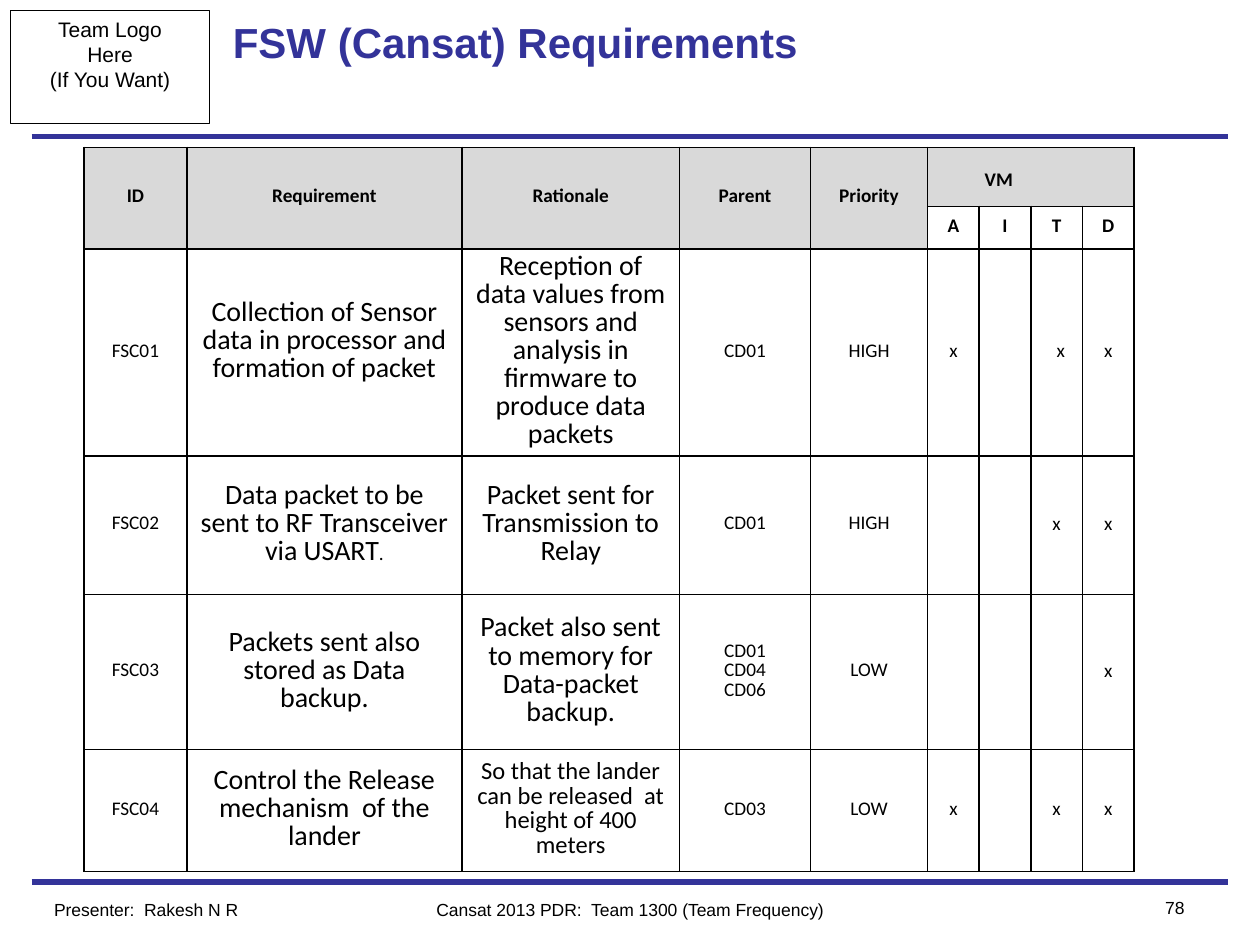
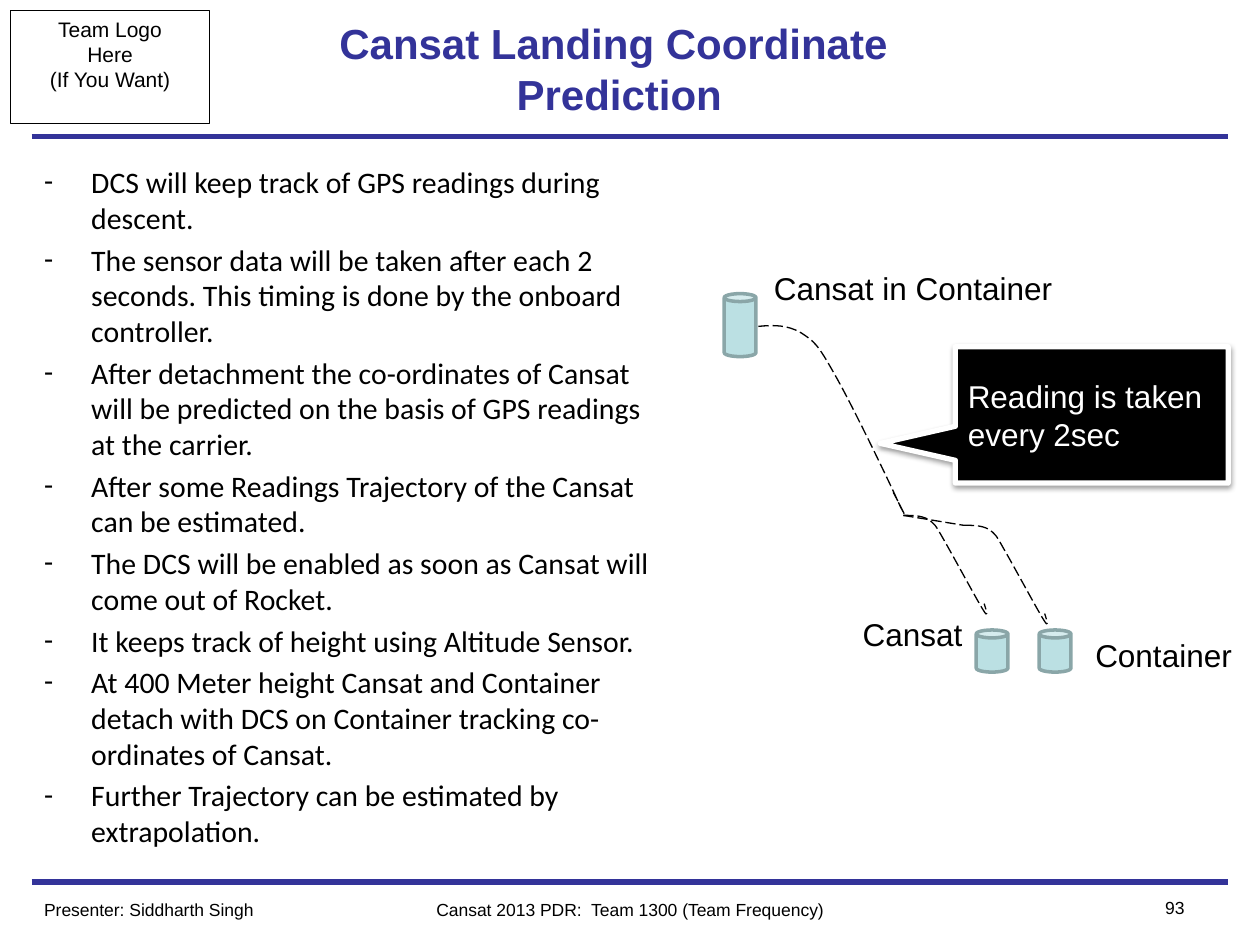
import pptx
import pptx.dml.color
import pptx.enum.dml
import pptx.enum.shapes
import pptx.enum.text
import pptx.oxml
import pptx.oxml.ns
import pptx.util

NAVY = pptx.dml.color.RGBColor(0x33, 0x33, 0x99)
BLACK = pptx.dml.color.RGBColor(0, 0, 0)
WHITE = pptx.dml.color.RGBColor(0xFF, 0xFF, 0xFF)
HEADER_GREY = pptx.dml.color.RGBColor(0xD9, 0xD9, 0xD9)
CAN_FILL = pptx.dml.color.RGBColor(0xBB, 0xE0, 0xE3)
CAN_EDGE = pptx.dml.color.RGBColor(0x8A, 0xA6, 0xA8)
HEADING_FONT = "Arial"
BODY_FONT = "Calibri"

ALIGN = pptx.enum.text.PP_ALIGN
ANCHOR = pptx.enum.text.MSO_ANCHOR
SHAPE = pptx.enum.shapes.MSO_SHAPE

COLUMN_WIDTHS = [2.08, 5.54, 4.39, 2.64, 2.36] + [1.04] * 4
ROW_HEIGHTS = [1.19, 0.86, 4.17, 2.79, 3.13, 2.46]
HEADINGS = ["ID", "Requirement", "Rationale", "Parent", "Priority"]
METHODS = "AITD"
REQUIREMENTS = [
    ("FSC01", "Collection of Sensor data in processor and formation of packet",
     "Reception of data values from sensors and analysis in firmware to produce data packets",
     "CD01", "HIGH", "ATD"),
    ("FSC02", "Data packet to be sent to RF Transceiver via USART",
     "Packet sent for Transmission to Relay", "CD01", "HIGH", "TD"),
    ("FSC03", "Packets sent also stored as Data backup.",
     "Packet also sent to memory for Data-packet backup.",
     "CD01\nCD04\nCD06", "LOW", "D"),
    ("FSC04", "Control the Release mechanism  of the lander",
     "So that the lander can be released  at height of 400 meters",
     "CD03", "LOW", "ATD"),
]
PREDICTION_STEPS = [
    "DCS will keep track of GPS readings during descent.",
    "The sensor data will be taken after each 2 seconds. This timing is done by the onboard controller.",
    "After detachment the co-ordinates of Cansat will be predicted on the basis of GPS readings at the carrier.",
    "After some Readings Trajectory of the Cansat can be estimated.",
    "The DCS will be enabled as soon as Cansat will come out of Rocket.",
    "It keeps track of height using Altitude Sensor.",
    "At 400 Meter height Cansat and Container detach with DCS on Container tracking co-ordinates of Cansat.",
    "Further Trajectory can be estimated by extrapolation.",
]
DESCENT_START = (15.29, 6.58)
DESCENT = [(0.31, -0.03), (0.59, -0.03), (0.86, 0.13),
           (1.12, 0.3), (1.19, 0.35), (1.52, 0.94),
           (1.86, 1.52), (2.67, 3.2), (2.85, 3.61),
           (3.05, 4.01), (2.9, 3.68), (2.72, 3.35)]
CANSAT_START = (18.21, 10.39)
CONTAINER_START = (19.43, 10.59)
BRANCH = [(0.18, 0), (0.36, 0), (0.5, 0.08),
          (0.64, 0.18), (0.64, 0.18), (0.81, 0.48),
          (0.99, 0.79), (1.47, 1.68), (1.6, 1.89),
          (1.73, 2.11), (1.68, 1.93), (1.63, 1.78)]


def cm(*lengths):
    return [pptx.util.Cm(length) for length in lengths]


def append_xml(parent, tag, content="", attributes=""):
    namespace = pptx.oxml.ns.nsdecls("a")
    child = pptx.oxml.parse_xml(f"<a:{tag} {namespace} {attributes}>{content}</a:{tag}>")
    parent.append(child)
    return child


def format_text(frame, size, color=BLACK, align=ALIGN.LEFT, font=HEADING_FONT,
                bold=False, spacing=None):
    for paragraph in frame.paragraphs:
        paragraph.alignment = align
        paragraph.line_spacing = spacing
        for run in paragraph.runs:
            run.font.size = pptx.util.Pt(size)
            run.font.name = font
            run.font.bold = bold
            run.font.color.rgb = color


def add_label(slide, box, text, size, align=ALIGN.LEFT, wrap=True):
    frame = slide.shapes.add_textbox(*cm(*box)).text_frame
    frame.word_wrap = wrap
    frame.text = text
    format_text(frame, size, align=align)


def add_line(slide, start, end, color, width):
    line = slide.shapes.add_connector(
        pptx.enum.shapes.MSO_CONNECTOR.STRAIGHT, *cm(*start, *end))
    line.line.color.rgb = color
    line.line.width = pptx.util.Pt(width)
    append_xml(line._element.spPr, "effectLst")
    return line


def add_box(slide, preset, box, edge, width, fill=None):
    shape = slide.shapes.add_shape(preset, *cm(*box))
    shape.shadow.inherit = False
    shape.line.color.rgb = edge
    shape.line.width = pptx.util.Pt(width)
    if fill is None:
        shape.fill.background()
    else:
        shape.fill.solid()
        shape.fill.fore_color.rgb = fill
    return shape


def add_framed_slide(deck, title, title_at, align, presenter, presenter_left, number):
    slide = deck.slides.add_slide(deck.slide_layouts[5])
    for band_y in (17.78, 2.75):
        add_line(slide, (0.64, band_y), (24.76, band_y), NAVY, 3)

    team_logo = add_box(slide, SHAPE.RECTANGLE, (0.21, 0.21, 4.02, 2.29), BLACK, 0.5)
    team_logo.text_frame.word_wrap = False
    team_logo.text_frame.vertical_anchor = ANCHOR.TOP
    team_logo.text_frame.text = "Team Logo\nHere\n(If You Want)"
    format_text(team_logo.text_frame, 12, align=ALIGN.CENTER)

    heading = slide.shapes.title
    heading.left, heading.top, heading.width, heading.height = cm(*title_at, 16.51, 2.34)
    heading.text_frame.auto_size = pptx.enum.text.MSO_AUTO_SIZE.NONE
    heading.text_frame.vertical_anchor = ANCHOR.TOP
    heading.text_frame.text = title
    format_text(heading.text_frame, 24, NAVY, align, bold=True)

    add_label(slide, (7.62, 17.99, 10.16, 0.69),
              "Cansat 2013 PDR:  Team 1300 (Team Frequency)", 10, ALIGN.CENTER)
    add_label(slide, (22.23, 17.96, 1.9, 0.69), number, 10, ALIGN.RIGHT)
    add_label(slide, (presenter_left, 17.99, 6.35, 0.69), presenter, 10)
    return slide


def frame_cell(cell, fill=None):
    cell.vertical_anchor = ANCHOR.MIDDLE
    cell.margin_top, cell.margin_bottom = cm(0.08, 0.13)
    for side in ("lnL", "lnR", "lnT", "lnB"):
        append_xml(cell._tc.get_or_add_tcPr(), side,
                   f'<a:solidFill><a:srgbClr val="{BLACK}"/></a:solidFill>', 'w="12700"')
    if fill is None:
        cell.fill.background()
    else:
        cell.fill.solid()
        cell.fill.fore_color.rgb = fill


def write_cell(cell, text, size=11, bold=False, spacing=0.82, align=ALIGN.CENTER):
    cell.text_frame.text = text
    format_text(cell.text_frame, size, align=align, font=BODY_FONT,
                bold=bold, spacing=spacing)


def add_requirements_table(slide):
    table = slide.shapes.add_table(
        len(ROW_HEIGHTS), len(COLUMN_WIDTHS),
        *cm(1.69, 2.97, sum(COLUMN_WIDTHS), sum(ROW_HEIGHTS))).table
    table.first_row = table.horz_banding = False
    for column, width in zip(table.columns, COLUMN_WIDTHS):
        column.width = pptx.util.Cm(width)
    for row, height in zip(table.rows, ROW_HEIGHTS):
        row.height = pptx.util.Cm(height)

    first_method = len(HEADINGS)
    for row in range(len(ROW_HEIGHTS)):
        for column in range(len(COLUMN_WIDTHS)):
            shaded = row == 0 or (row == 1 and column < first_method)
            frame_cell(table.cell(row, column), HEADER_GREY if shaded else None)

    for column, heading in enumerate(HEADINGS):
        table.cell(0, column).merge(table.cell(1, column))
        write_cell(table.cell(0, column), heading, bold=True)
    verification = table.cell(0, first_method)
    verification.merge(table.cell(0, len(COLUMN_WIDTHS) - 1))
    write_cell(verification, "VM", bold=True, spacing=1, align=ALIGN.LEFT)
    verification.margin_left, verification.margin_top = cm(1.15, 0.26)
    for column, method in enumerate(METHODS, first_method):
        write_cell(table.cell(1, column), method, bold=True)

    for row, (*details, used_methods) in enumerate(REQUIREMENTS, 2):
        for column, detail in enumerate(details):
            size = 16 if HEADINGS[column] in ("Requirement", "Rationale") else 11
            write_cell(table.cell(row, column), detail, size)
        for column, method in enumerate(METHODS, first_method):
            if method in used_methods:
                write_cell(table.cell(row, column), "x", spacing=1)

    table.cell(2, 1).margin_bottom = pptx.util.Cm(0.53)
    table.cell(2, first_method + METHODS.index("T")).margin_left = pptx.util.Cm(0.42)
    full_stop = table.cell(3, 1).text_frame.paragraphs[0].add_run()
    full_stop.text = "."
    full_stop.font.size = pptx.util.Pt(11)
    full_stop.font.name = BODY_FONT
    full_stop.font.color.rgb = BLACK
    format_text(table.cell(5, 2).text_frame, 14, align=ALIGN.CENTER,
                font=BODY_FONT, spacing=0.82)


def add_prediction_steps(slide):
    frame = slide.shapes.add_textbox(*cm(0.64, 3.18, 13.13, 14.4)).text_frame
    frame.word_wrap = True
    frame.text = "\n".join(PREDICTION_STEPS)
    indent = pptx.util.Cm(0.95)
    for index, step in enumerate(frame.paragraphs):
        properties = step._p.get_or_add_pPr()
        properties.set("marL", str(indent))
        properties.set("indent", str(-indent))
        append_xml(properties, "buFont", attributes=f'typeface="{BODY_FONT}"')
        append_xml(properties, "buChar", attributes='char="-"')
        if index:
            step.space_before = pptx.util.Pt(3.4)
    format_text(frame, 17, font=BODY_FONT)


def dash(line):
    line.color.rgb = BLACK
    line.width = pptx.util.Pt(0.75)
    line.dash_style = pptx.enum.dml.MSO_LINE.LONG_DASH


def bend_segments(freeform):
    outline = next(freeform._element.iter(pptx.oxml.ns.qn("a:path")))
    segments = outline.findall(pptx.oxml.ns.qn("a:lnTo"))
    for first in range(0, len(segments), 3):
        curve = append_xml(outline, "cubicBezTo")
        for segment in segments[first:first + 3]:
            curve.append(segment[0])
            outline.remove(segment)


def add_trajectory(slide, start, offsets):
    builder = slide.shapes.build_freeform(*cm(*start))
    builder.add_line_segments(
        [cm(start[0] + x, start[1] + y) for x, y in offsets], close=False)
    trajectory = builder.convert_to_shape()
    bend_segments(trajectory)
    trajectory.shadow.inherit = False
    trajectory.fill.background()
    dash(trajectory.line)


def add_reading_callout(slide):
    callout = add_box(slide, SHAPE.RECTANGULAR_CALLOUT, (19.26, 6.99, 5.5, 2.75),
                      WHITE, 3, BLACK)
    callout.adjustments[0] = -0.775
    callout.adjustments[1] = 0.209
    append_xml(callout._element.spPr.find(pptx.oxml.ns.qn("a:effectLst")), "outerShdw",
               f'<a:srgbClr val="{BLACK}"><a:alpha val="38000"/></a:srgbClr>',
               'blurRad="40000" dist="20000" dir="5400000" rotWithShape="0"')
    callout.text_frame.word_wrap = True
    callout.text_frame.vertical_anchor = ANCHOR.MIDDLE
    callout.text_frame.text = "Reading is taken\nevery 2sec"
    format_text(callout.text_frame, 18, WHITE)


def add_descent_diagram(slide):
    add_trajectory(slide, DESCENT_START, DESCENT)
    for start in (CANSAT_START, CONTAINER_START):
        add_trajectory(slide, start, BRANCH)
    dash(add_line(slide, CANSAT_START, CONTAINER_START, BLACK, 0.75).line)
    for left, top, height in ((14.6, 5.92, 1.27), (19.68, 12.7, 0.85), (20.95, 12.7, 0.85)):
        add_box(slide, SHAPE.CAN, (left, top, 0.64, height), CAN_EDGE, 2, CAN_FILL)
    for left, top, width, name in ((15.35, 5.29, 6.17, "Cansat in Container"),
                                   (17.14, 12.28, 2.54, "Cansat"),
                                   (21.83, 12.7, 3.3, "Container")):
        add_label(slide, (left, top, width, 1.02), name, 18, wrap=False)
    add_reading_callout(slide)


def main():
    deck = pptx.Presentation()
    deck.slide_width, deck.slide_height = cm(25.4, 19.05)

    requirements = add_framed_slide(
        deck, "FSW (Cansat) Requirements", (4.44, 0.2), ALIGN.LEFT,
        "Presenter:  Rakesh N R", 0.84, "78")
    add_requirements_table(requirements)

    prediction = add_framed_slide(
        deck, "Cansat Landing Coordinate \nPrediction", (4.23, 0.23), ALIGN.CENTER,
        "Presenter: Siddharth Singh", 0.64, "93")
    add_prediction_steps(prediction)
    add_descent_diagram(prediction)

    deck.save("out.pptx")


if __name__ == "__main__":
    main()
